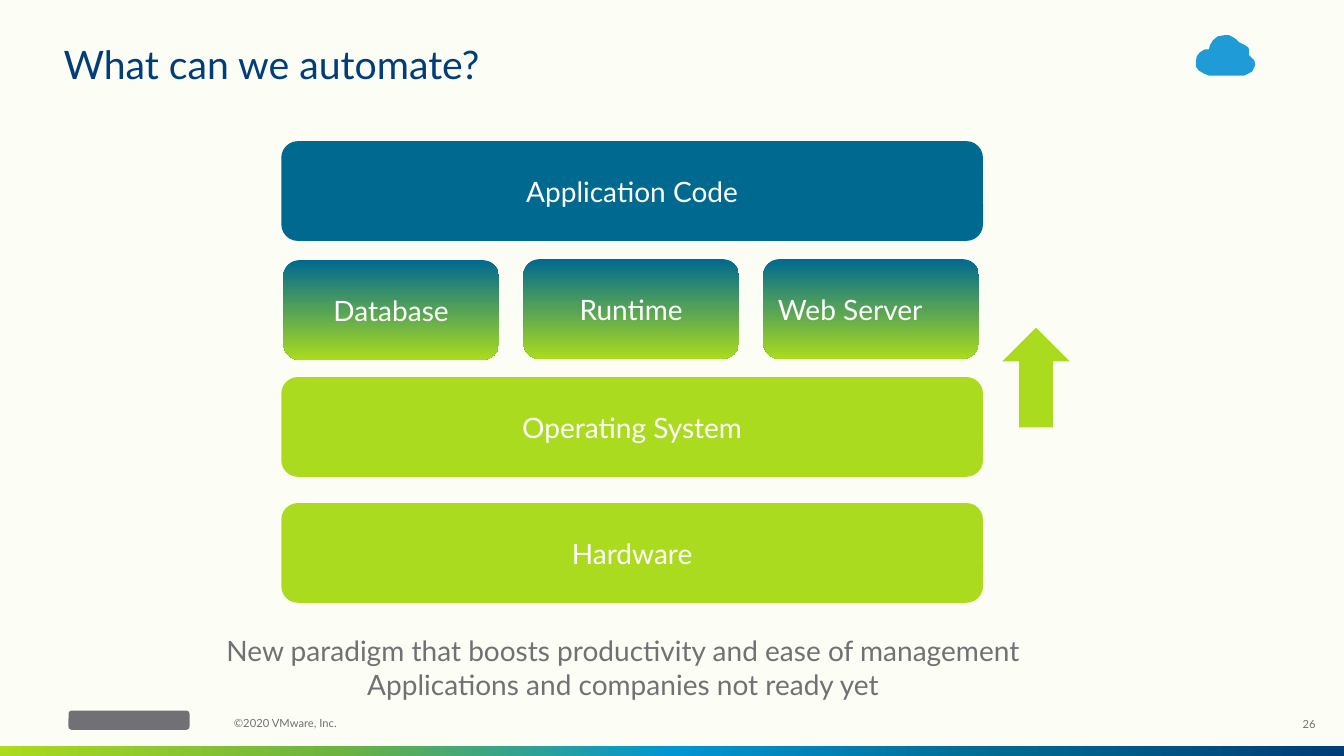
from lxml import etree
from pptx import Presentation, util as u
from pptx.dml.color import RGBColor
from pptx.enum import shapes, text
from pptx.oxml.ns import qn

NAVY = RGBColor(0x00, 0x3D, 0x79)
TEAL = RGBColor(0x00, 0x69, 0x90)
BLUE = RGBColor(0x00, 0x95, 0xD3)
SKY = RGBColor(0x1F, 0x9B, 0xD8)
LIME = RGBColor(0xAA, 0xDB, 0x1E)
LEAF = RGBColor(0x6D, 0xB3, 0x3F)
MOSS = RGBColor(0x53, 0xA1, 0x58)
GRAY = RGBColor(0x71, 0x70, 0x74)
WHITE = RGBColor(0xFF, 0xFF, 0xFF)
CREAM = RGBColor(0xFC, 0xFE, 0xF6)

KIND = shapes.MSO_SHAPE
LEFT, MID, RIGHT = text.PP_ALIGN.LEFT, text.PP_ALIGN.CENTER, text.PP_ALIGN.RIGHT
TOP, CORE, BASE = text.MSO_ANCHOR.TOP, text.MSO_ANCHOR.MIDDLE, text.MSO_ANCHOR.BOTTOM

BLEND = [(0, TEAL), (49, MOSS), (100, LIME)]
STRIPE = [(0, LIME), (25, LEAF), (50, BLUE), (75, TEAL), (100, NAVY)]
CLOUD = [
    (1239, 55), (1239, 50), (1238, 47), (1235, 45), (1231, 43), (1229, 42),
    (1226, 39), (1223, 37), (1219, 35), (1214, 35), (1208, 36), (1203, 40),
    (1200, 45), (1199, 49), (1195, 49), (1190, 52), (1187, 56), (1186, 61),
    (1186, 66), (1189, 70), (1194, 73), (1199, 75), (1234, 75), (1238, 73),
    (1242, 71), (1244, 67), (1245, 64), (1244, 60), (1242, 58),
]


class Deck:
    font = "Lato"

    def __init__(self, wide, high):
        self.prs = Presentation()
        self.prs.slide_width = u.Inches(wide)
        self.prs.slide_height = u.Inches(high)
        self.slide = self.prs.slides.add_slide(self.prs.slide_layouts[5])
        back = self.slide.background.fill
        back.solid()
        back.fore_color.rgb = CREAM

    def words(self, shape, lines, size, color, align=LEFT, anchor=TOP,
              pad=(0, 0), lead=1.0):
        frame = shape.text_frame
        frame.word_wrap = True
        frame.auto_size = text.MSO_AUTO_SIZE.NONE
        frame.vertical_anchor = anchor
        frame.margin_left = frame.margin_right = u.Inches(pad[0])
        frame.margin_top = frame.margin_bottom = u.Inches(pad[1])
        for i, line in enumerate(lines):
            para = frame.add_paragraph() if i else frame.paragraphs[0]
            para.alignment = align
            para.line_spacing = lead
            run = para.add_run()
            run.text = line
            run.font.name = self.font
            run.font.size = u.Pt(size)
            run.font.color.rgb = color

    def title(self, line, box):
        shape = self.slide.shapes.title
        shape.left, shape.top, shape.width, shape.height = map(u.Inches, box)
        self.words(shape, [line], 28, NAVY, anchor=BASE, lead=0.9)

    def label(self, lines, box, size, **style):
        shape = self.slide.shapes.add_textbox(*map(u.Inches, box))
        self.words(shape, lines, size, GRAY, **style)

    def paint(self, shape, fill, angle=0):
        shape.shadow.inherit = False
        shape.line.fill.background()
        if isinstance(fill, RGBColor):
            shape.fill.solid()
            shape.fill.fore_color.rgb = fill
            return
        shape.fill.gradient()
        shape.fill.gradient_angle = angle
        stops = shape._element.spPr.find(qn("a:gradFill")).find(qn("a:gsLst"))
        for stop in list(stops):
            stops.remove(stop)
        for place, color in fill:
            stop = etree.SubElement(stops, qn("a:gs"), pos=str(place * 1000))
            etree.SubElement(stop, qn("a:srgbClr"), val=str(color))

    def block(self, kind, box, fill, angle=0):
        shape = self.slide.shapes.add_shape(kind, *map(u.Inches, box))
        self.paint(shape, fill, angle)
        return shape

    def card(self, line, box, fill, align=MID):
        shape = self.block(KIND.ROUNDED_RECTANGLE, box, fill, 270)
        self.words(shape, [line], 20, WHITE, align, CORE, (0.1, 0.1))

    def outline(self, points, fill):
        pen = self.slide.shapes.build_freeform(*points[0], scale=u.Inches(0.01))
        pen.add_line_segments(points[1:], close=True)
        self.paint(pen.convert_to_shape(), fill)


def main():
    deck = Deck(13.33, 7.5)
    deck.block(KIND.RECTANGLE, (0, 7.4, 13.33, 0.1), STRIPE)
    deck.block(KIND.ROUNDED_RECTANGLE, (0.68, 7.05, 1.2, 0.19), GRAY)
    deck.label(["26"], (12.57, 6.99, 0.48, 0.4), 8, align=RIGHT, anchor=CORE, lead=0.9)
    deck.label(["©2020 VMware, Inc."], (2.32, 7.12, 2.15, 0.16), 8, lead=0.9)
    deck.title("What can we automate?", (0.63, 0.45, 12.03, 0.42))

    layers = [("Application Code", 1.4, TEAL), ("Operating System", 3.74, LIME),
              ("Hardware", 4.99, LIME)]
    for name, top, fill in layers:
        deck.card(name, (2.79, top, 6.96, 0.99), fill)
    parts = [("Database", 2.58, MID), ("Runtime", 2.57, MID), ("Web Server", 2.57, LEFT)]
    for i, (name, top, align) in enumerate(parts):
        deck.card(name, (2.81 + i * 2.38, top, 2.14, 0.99), BLEND, align)

    deck.label(["New paradigm that boosts productivity and ease of management",
                "Applications and companies not ready yet"],
               (1.12, 6.24, 10.12, 0.67), 20, align=MID, pad=(0.1, 0.05))
    deck.block(KIND.UP_ARROW, (9.94, 3.25, 0.67, 0.99), LIME)
    deck.outline(CLOUD, SKY)
    deck.prs.save("out.pptx")


if __name__ == "__main__":
    main()
